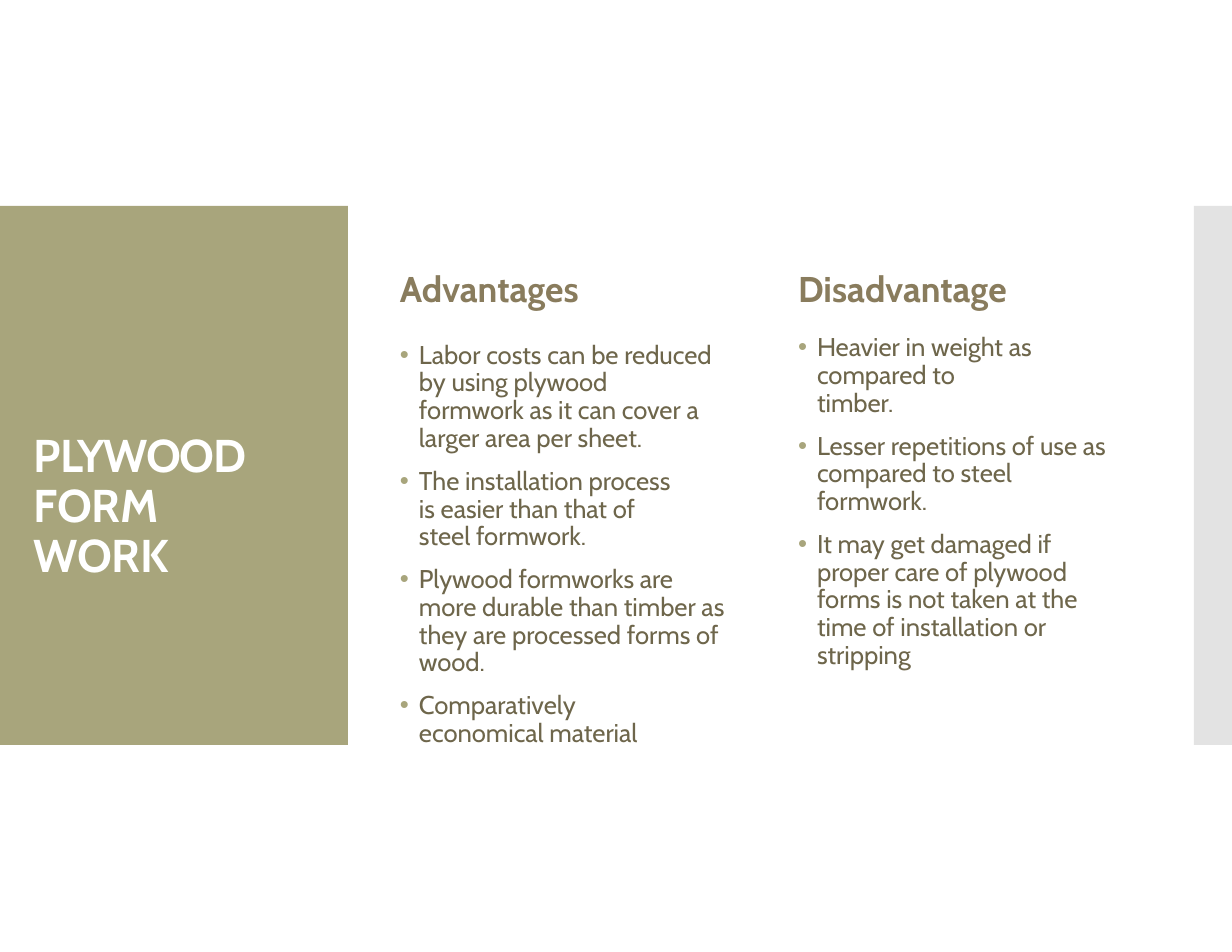
from pptx import Presentation
from pptx import util as u
from pptx.dml import color
from pptx.enum import shapes, text
from pptx.oxml import ns
from lxml import etree

SCALE = 914400 / 112
FACE = "Cabin"
OLIVE, GREY, WHITE = "A8A57C", "C8C8C8", "FFFFFF"
BROWN, DARK = "897C5D", "6E664B"
HANG = 19

GOOD = [
    ("Labor costs can be reduced by using plywood formwork "
     "as it can cover a larger area per sheet.", 19),
    ("The installation process is easier than that of steel formwork.", 54),
    ("Plywood formworks are more durable than timber as they "
     "are processed forms of wood.", 3),
    ("Comparatively economical material", 65),
]
BAD = [
    ("Heavier in weight as compared to timber.", 94),
    ("Lesser repetitions of use as compared to steel formwork.", 10),
    ("It may get damaged if proper care of plywood forms is not "
     "taken at the time of installation or stripping", 25),
]


def px(n):
    return u.Emu(round(n * SCALE))


def rgb(code):
    return color.RGBColor.from_string(code)


def sub(node, tag, **attrs):
    return etree.SubElement(node, ns.qn(tag), attrs)


def panel(slide, x, y, w, h, fill, alpha=None):
    box = slide.shapes.add_shape(
        shapes.MSO_SHAPE.RECTANGLE, px(x), px(y), px(w), px(h))
    box.shadow.inherit = False
    box.fill.solid()
    box.fill.fore_color.rgb = rgb(fill)
    box.line.fill.background()
    if alpha:
        tone = box.fill._xPr.find(".//" + ns.qn("a:srgbClr"))
        sub(tone, "a:alpha", val=str(alpha * 1000))


def place(box, x, y, w, h, top):
    box.left, box.top, box.width, box.height = px(x), px(y), px(w), px(h)
    frame = box.text_frame
    frame.word_wrap = True
    frame.auto_size = text.MSO_AUTO_SIZE.NONE
    frame.vertical_anchor = text.MSO_ANCHOR.TOP
    frame.margin_left = frame.margin_right = frame.margin_bottom = 0
    frame.margin_top = px(top)
    return frame


def add_run(para, words, size, ink, bold=False, track=0):
    run = para.add_run()
    run.text = words
    font = run.font
    font.name, font.size, font.bold = FACE, u.Pt(size), bold
    font.color.rgb = rgb(ink)
    if track:
        run._r.get_or_add_rPr().set("spc", str(round(track * 100)))


def head(para, words):
    props = para._p.get_or_add_pPr()
    props.set("marL", "0")
    props.set("indent", "0")
    sub(props, "a:buNone")
    para.space_before = u.Pt(0)
    add_run(para, words, 23, BROWN, True)


def bullet(para, words, right, gap):
    props = para._p.get_or_add_pPr()
    props.set("marL", str(px(HANG)))
    props.set("indent", str(-px(HANG)))
    props.set("marR", str(px(right)))
    sub(sub(props, "a:buClr"), "a:srgbClr", val=OLIVE)
    sub(props, "a:buChar", char="•")
    para.line_spacing = 0.9
    para.space_before = u.Pt(gap)
    add_run(para, words, 16.5, DARK)


def fill_list(frame, items, first):
    for i, (words, right) in enumerate(items):
        fresh = i or first
        para = frame.add_paragraph() if fresh else frame.paragraphs[0]
        bullet(para, words, right, 9.9 if i else first)


def main():
    deck = Presentation()
    deck.slide_width, deck.slide_height = px(1232), px(952)
    slide = deck.slides.add_slide(deck.slide_layouts[3])
    title, left, right = slide.placeholders

    panel(slide, 0, 206, 348, 539, OLIVE)
    panel(slide, 1194, 206, 38, 539, GREY, 50)

    label = slide.shapes.add_textbox(0, 0, 0, 0)
    head(place(label, 400, 263, 189, 46, 4).paragraphs[0], "Advantages")
    fill_list(place(left, 400, 333, 335, 385, 9), GOOD, 0)

    frame = place(right, 798, 263, 330, 324, 4)
    head(frame.paragraphs[0], "Disadvantage")
    fill_list(frame, BAD, 15.8)

    para = place(title, 34, 416, 264, 109, 16).paragraphs[0]
    para.alignment = text.PP_ALIGN.LEFT
    para.line_spacing = u.Pt(32)
    para.space_before = u.Pt(0)
    add_run(para, "PLYWOOD ", 29.5, WHITE, True, -0.8)
    add_run(para, "FORM WORK", 29.5, WHITE, True, -0.3)
    slide.shapes._spTree.append(title._element)

    deck.save("out.pptx")


if __name__ == "__main__":
    main()
